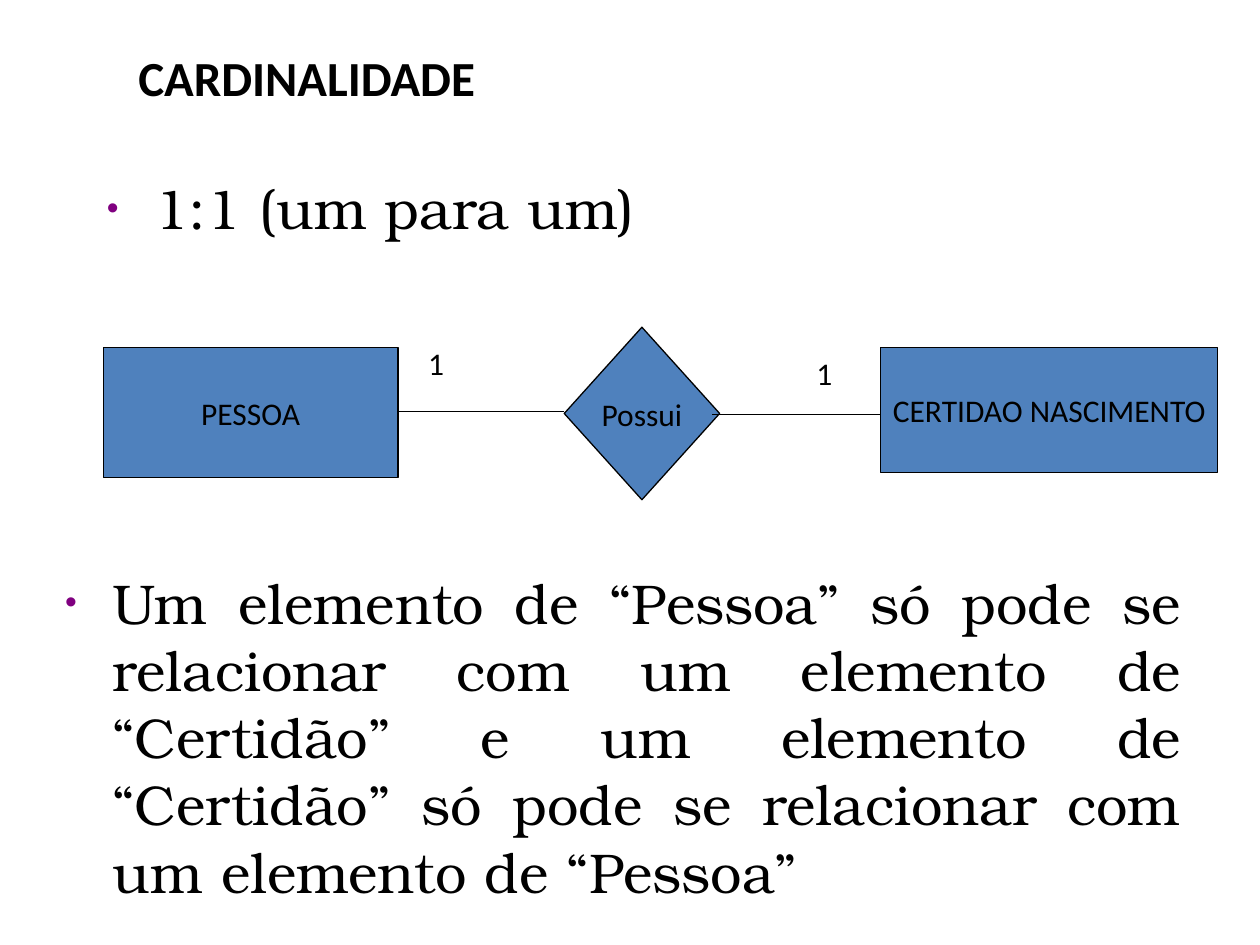
"""Build the slide on 1:1 cardinality with its entity-relationship diagram."""
from lxml.etree import SubElement
from pptx import Presentation
from pptx.dml.color import RGBColor
from pptx.enum.shapes import MSO_CONNECTOR as CONN, MSO_SHAPE as SHAPE
from pptx.enum.text import MSO_ANCHOR as ANCHOR, MSO_AUTO_SIZE as AUTO, PP_ALIGN as ALIGN
from pptx.oxml.ns import qn
from pptx.util import Pt

COLORS = {"text": "000000", "line": "000000", "fill": "4F81BD", "bullet": "800080"}
RGB = {name: RGBColor.from_string(value) for name, value in COLORS.items()}
BODY, LABEL = "TeX Gyre Bonum", "Calibri"


def set_text(sp, text, size, font, wrap=True, align=ALIGN.LEFT, bold=False):
    tf = sp.text_frame
    tf.text = text
    tf.word_wrap = wrap
    p = tf.paragraphs[0]
    p.alignment = align
    f = p.runs[0].font
    f.size, f.name, f.bold = Pt(size), font, bold
    f.color.rgb = RGB["text"]
    return p


def add_bullet(p):
    pPr = p._p.get_or_add_pPr()
    pPr.set("marL", str(Pt(27)))
    pPr.set("indent", str(Pt(-27)))
    spcBef = SubElement(pPr, qn("a:spcBef"))
    SubElement(spcBef, qn("a:spcPct"), val="20000")
    buClr = SubElement(pPr, qn("a:buClr"))
    SubElement(buClr, qn("a:srgbClr"), val=COLORS["bullet"])
    SubElement(pPr, qn("a:buSzPct"), val="60000")
    SubElement(pPr, qn("a:buFont"), typeface="Arial")
    SubElement(pPr, qn("a:buChar"), char="•")


prs = Presentation()
prs.slide_width, prs.slide_height = Pt(720), Pt(540)
s = prs.slides.add_slide(prs.slide_layouts[6])

bullets = [
    ("1:1 (um para um)", 54, 95.8, 52.6, ALIGN.LEFT),
    ("Um elemento de “Pessoa” só pode se relacionar com um elemento de “Certidão” "
     "e um elemento de “Certidão” só pode se relacionar com um elemento de “Pessoa”",
     30.2, 321.1, 195.1, ALIGN.JUSTIFY),
]
for text, x, y, h, align in bullets:
    sp = s.shapes.add_textbox(Pt(x), Pt(y), Pt(652.3), Pt(h))
    add_bullet(set_text(sp, text, 32, BODY, align=align))

nodes = [
    ("PESSOA", SHAPE.RECTANGLE, 59, 198.7, 168.5, 74.2),
    ("CERTIDAO NASCIMENTO", SHAPE.RECTANGLE, 503.3, 198.7, 192.5, 71.3),
    ("Possui", SHAPE.DIAMOND, 322.4, 187, 88.8, 98.6),
]
for text, kind, x, y, w, h in nodes:
    sp = s.shapes.add_shape(kind, Pt(x), Pt(y), Pt(w), Pt(h))
    sp.shadow.inherit = False
    sp.fill.solid()
    sp.fill.fore_color.rgb = RGB["fill"]
    sp.line.color.rgb = RGB["line"]
    sp.line.width = Pt(0.75)
    sp.text_frame.vertical_anchor = ANCHOR.MIDDLE
    set_text(sp, text, 18, LABEL, wrap=False, align=ALIGN.CENTER)

for x1, x2, y in [(322.4, 227.5, 235.2), (503.3, 406.8, 237)]:
    cn = s.shapes.add_connector(CONN.STRAIGHT, Pt(x1), Pt(y), Pt(x2), Pt(y))
    cn.line.color.rgb = RGB["line"]
    cn.line.width = Pt(0.75)
    SubElement(cn._element.spPr, qn("a:effectLst"))

for x, y in [(237.6, 193), (459.4, 198.7)]:
    sp = s.shapes.add_textbox(Pt(x), Pt(y), Pt(22.3), Pt(29.5))
    set_text(sp, "1", 18, LABEL, wrap=False)
    sp.text_frame.auto_size = AUTO.SHAPE_TO_FIT_TEXT

sp = s.shapes.add_textbox(Pt(72), Pt(23.8), Pt(648), Pt(53.3))
set_text(sp, "CARDINALIDADE", 28, LABEL, bold=True).space_before = Pt(5.6)

prs.save("out.pptx")
